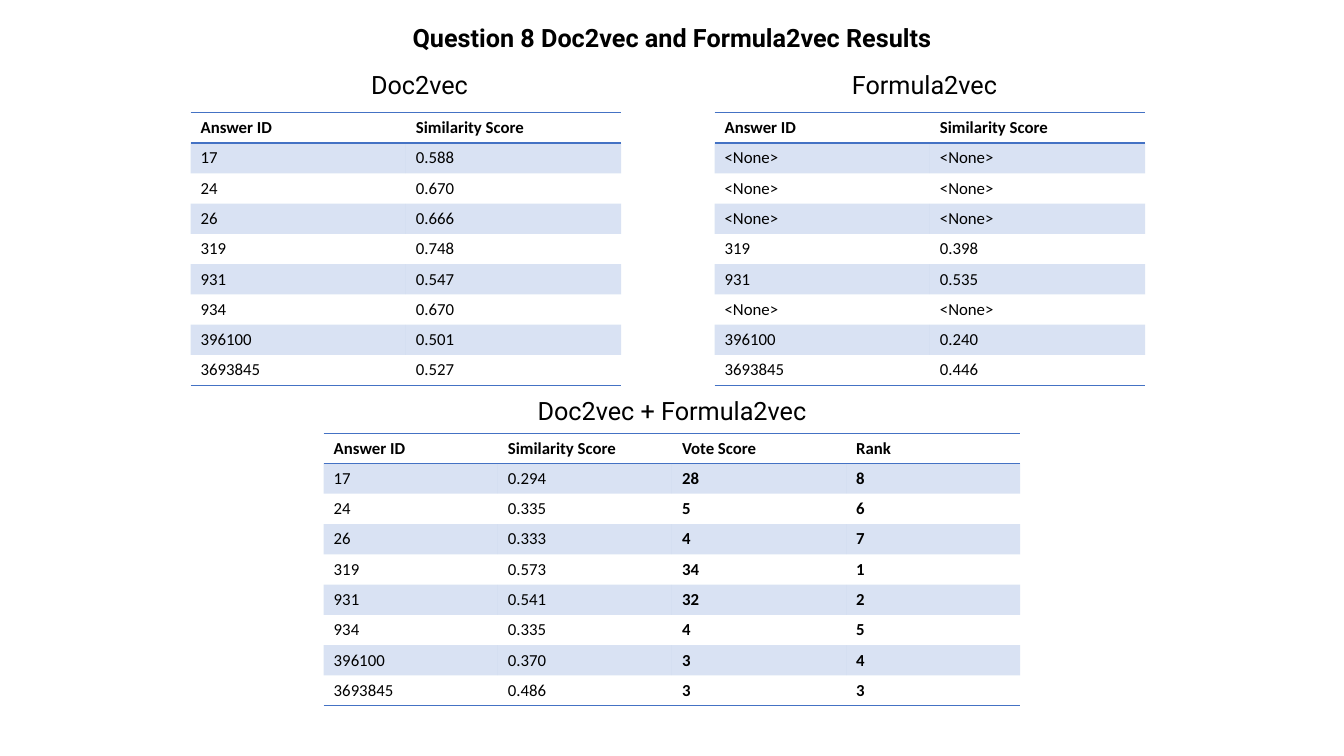
"""Build the slide of Doc2vec and Formula2vec results for question 8."""
from lxml import etree
from pptx import Presentation
from pptx.dml.color import RGBColor
from pptx.enum.text import MSO_ANCHOR, PP_ALIGN
from pptx.oxml.ns import qn
from pptx.util import Pt

LEFT, CENTER, TOP = PP_ALIGN.LEFT, PP_ALIGN.CENTER, MSO_ANCHOR.TOP
COLORS = {"text": "000000", "accent": "4472C4"}
NO_STYLE = "{2D5ABB26-0587-4C30-8999-92F81FD0307C}"
SLIDE_W, SLIDE_H = 960, 540
TITLE_W, LABEL_W, LABEL_H, ROW_H = 721.44, 360.72, 28.8, 21.6
MARGIN = (SLIDE_W - TITLE_W) / 2


def write(tf, text, size=18, font="Roboto", bold=False, align=CENTER):
    tf.word_wrap = True
    tf.vertical_anchor = TOP
    p = tf.paragraphs[0]
    p.alignment = align
    r = p.add_run()
    r.text = text
    r.font.size = Pt(size)
    r.font.name = font
    r.font.bold = bold
    r.font.color.rgb = RGBColor.from_string(COLORS["text"])


def add_border(cell, side):
    ln = etree.SubElement(cell._tc.get_or_add_tcPr(), qn(f"a:{side}"), w=str(Pt(1)))
    fill = etree.SubElement(ln, qn("a:solidFill"))
    etree.SubElement(fill, qn("a:srgbClr"), val=COLORS["accent"])


ids = ["17", "24", "26", "319", "931", "934", "396100", "3693845"]
doc_scores = ["0.588", "0.670", "0.666", "0.748", "0.547", "0.670", "0.501", "0.527"]
formula_scores = ["<None>", "<None>", "<None>", "0.398", "0.535", "<None>", "0.240", "0.446"]
formula_ids = [i if score != "<None>" else score for i, score in zip(ids, formula_scores)]
mean_scores = ["0.294", "0.335", "0.333", "0.573", "0.541", "0.335", "0.370", "0.486"]
votes = ["28", "5", "4", "34", "32", "4", "3", "3"]
ranks = ["8", "6", "7", "1", "2", "5", "4", "3"]

headers = ["Answer ID", "Similarity Score", "Vote Score", "Rank"]
tables = [
    ("Doc2vec", MARGIN, 46, 136.1, 80.5, 153.8, [ids, doc_scores]),
    ("Formula2vec", SLIDE_W / 2, 46, 510.4, 80.5, 153.8, [formula_ids, formula_scores]),
    ("Doc2vec + Formula2vec", (SLIDE_W - LABEL_W) / 2, 278.6, 231.2, 309.4, 124.4,
     [ids, mean_scores, votes, ranks]),
]

prs = Presentation()
prs.slide_width, prs.slide_height = Pt(SLIDE_W), Pt(SLIDE_H)
s = prs.slides.add_slide(prs.slide_layouts[5])

title = s.shapes.title
title.left, title.top = Pt(MARGIN), Pt(12.2)
title.width, title.height = Pt(TITLE_W), Pt(LABEL_H)
write(title.text_frame, "Question 8 Doc2vec and Formula2vec Results", bold=True)

for label, label_x, label_y, x, y, col_w, columns in tables:
    sp = s.shapes.add_textbox(Pt(label_x), Pt(label_y), Pt(LABEL_W), Pt(LABEL_H))
    write(sp.text_frame, label)

    rows = [headers[:len(columns)], *zip(*columns)]
    frame = s.shapes.add_table(len(rows), len(columns), Pt(x), Pt(y),
                               Pt(col_w * len(columns)), Pt(ROW_H * len(rows)))
    table = frame.table
    table.horz_banding = False
    table._tbl.tblPr.find(qn("a:tableStyleId")).text = NO_STYLE
    for col in table.columns:
        col.width = Pt(col_w)
    for i, row in enumerate(rows):
        table.rows[i].height = Pt(ROW_H)
        for j, text in enumerate(row):
            cell = table.cell(i, j)
            write(cell.text_frame, text, size=12, font="Calibri",
                  bold=i == 0 or j >= 2, align=LEFT)
            if i == 0:
                add_border(cell, "lnT")
            if i in (0, len(rows) - 1):
                add_border(cell, "lnB")
            if i % 2:
                cell.fill.solid()
                cell.fill.fore_color.rgb = RGBColor.from_string(COLORS["accent"])
                clr = cell._tc.tcPr.find(f"{qn('a:solidFill')}/{qn('a:srgbClr')}")
                etree.SubElement(clr, qn("a:alpha"), val="20000")
            else:
                cell.fill.background()

prs.save("out.pptx")
